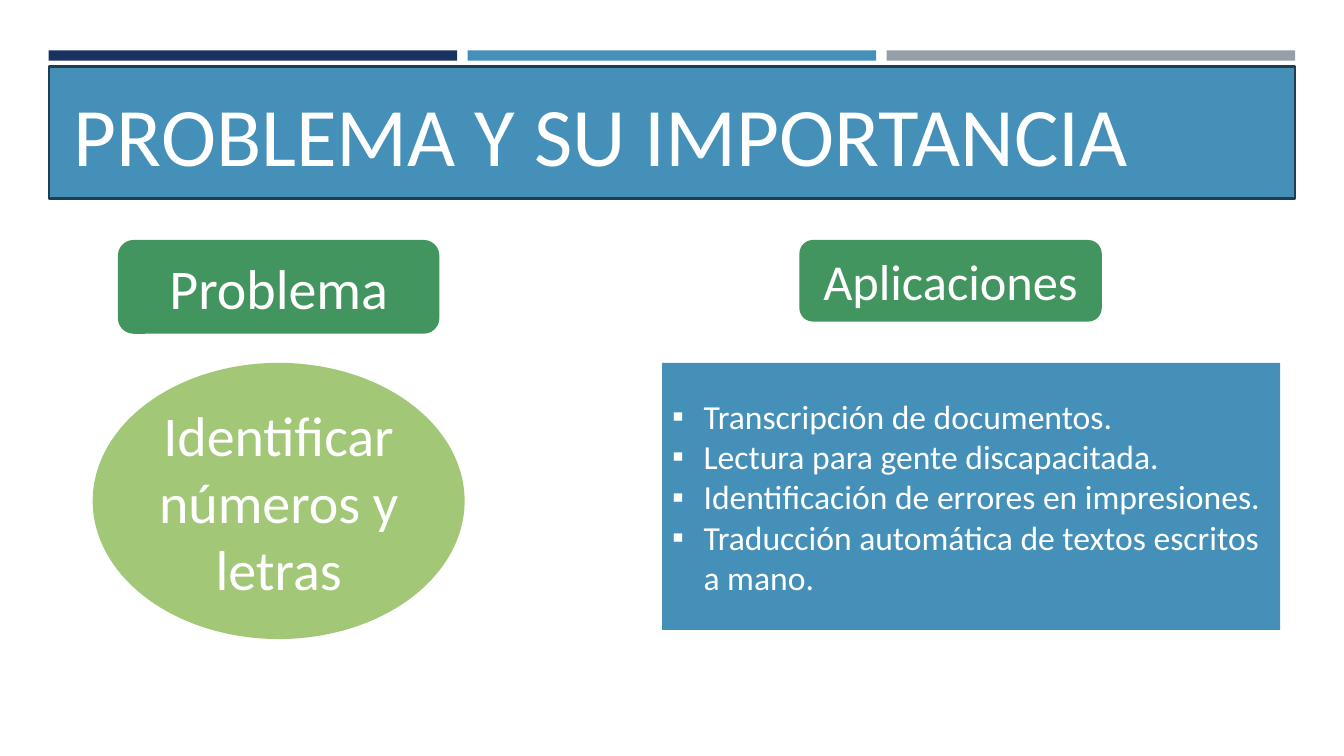
from lxml.etree import SubElement
from pptx import Presentation
from pptx.dml.color import RGBColor
from pptx.enum.shapes import MSO_SHAPE as Geometry
from pptx.enum.text import MSO_ANCHOR as Anchor, PP_ALIGN as Align
from pptx.oxml.ns import qn
from pptx.util import Pt

NAVY = RGBColor(0x1A, 0x32, 0x60)
BLUE = RGBColor(0x45, 0x90, 0xB8)
GRAY = RGBColor(0x96, 0x9F, 0xA7)
GREEN = RGBColor(0x42, 0x95, 0x5F)
LIME = RGBColor(0xA2, 0xC7, 0x77)
DARK_BLUE = RGBColor(0x1E, 0x3F, 0x51)
WHITE = RGBColor(0xFF, 0xFF, 0xFF)

FONT = "Calibri"
APPLICATIONS = [
    "Transcripción de documentos.",
    "Lectura para gente discapacitada.",
    "Identificación de errores en impresiones.",
    "Traducción automática de textos escritos a mano.",
]


def add_panel(slide, geometry, box, color):
    """Add a flat filled shape without outline or shadow."""
    panel = slide.shapes.add_shape(geometry, *(Pt(length) for length in box))
    panel.shadow.inherit = False
    panel.fill.solid()
    panel.fill.fore_color.rgb = color
    panel.line.fill.background()
    return panel


def write_lines(holder, lines, size, align=Align.CENTER, anchor=Anchor.MIDDLE):
    """Write one white paragraph per line and return the paragraphs."""
    frame = holder.text_frame
    frame.word_wrap = True
    frame.vertical_anchor = anchor
    for index, line in enumerate(lines):
        paragraph = frame.add_paragraph() if index else frame.paragraphs[0]
        paragraph.alignment = align
        run = paragraph.add_run()
        run.text = line
        run.font.name = FONT
        run.font.size = Pt(size)
        run.font.color.rgb = WHITE
    return frame.paragraphs


def add_bullet(paragraph, indent):
    """Give a paragraph a square bullet with a hanging indent."""
    properties = paragraph._p.get_or_add_pPr()
    properties.set("marL", str(Pt(indent)))
    properties.set("indent", str(-Pt(indent)))
    SubElement(properties, qn("a:buFont"), typeface="Arial")
    SubElement(properties, qn("a:buChar"), char="▪")


def add_header(slide, left, top, width, height):
    """Add the three accent strips and the title banner below them."""
    gap, strip_height, banner_offset = 7.5, 7.4, 11.6
    strip_width = (width - 2 * gap) / 3
    for column, color in enumerate((NAVY, BLUE, GRAY)):
        strip_left = left + column * (strip_width + gap)
        add_panel(slide, Geometry.RECTANGLE,
                  (strip_left, top, strip_width, strip_height), color)

    banner_top = top + banner_offset
    banner_height = height - banner_offset
    banner = add_panel(slide, Geometry.RECTANGLE,
                       (left, banner_top, width, banner_height), BLUE)
    banner.line.color.rgb = DARK_BLUE
    banner.line.width = Pt(1.75)

    title = slide.shapes.add_textbox(Pt(left + 10.8), Pt(banner_top + 7.2),
                                     Pt(width - 21.6), Pt(banner_height - 14.4))
    write_lines(title, ["PROBLEMA Y SU IMPORTANCIA"], 59.4, Align.LEFT, Anchor.BOTTOM)


def add_problem(slide, left, top, width, height):
    """Add the problem label centred above its ellipse."""
    label_width, ellipse_height = 229.7, 197.3
    label = add_panel(slide, Geometry.ROUNDED_RECTANGLE,
                      (left + (width - label_width) / 2, top, label_width, 67), GREEN)
    write_lines(label, ["Problema"], 40)
    ellipse = add_panel(slide, Geometry.OVAL,
                        (left, top + height - ellipse_height, width, ellipse_height), LIME)
    write_lines(ellipse, ["Identificar números y letras"], 40)


def add_applications(slide, left, top, width, height):
    """Add the applications label above its bulleted panel."""
    panel_height = 190.8
    label = add_panel(slide, Geometry.ROUNDED_RECTANGLE,
                      (left + 98, top, 216, 58.3), GREEN)
    write_lines(label, ["Aplicaciones"], 36)
    panel = add_panel(slide, Geometry.RECTANGLE,
                      (left, top + height - panel_height, width, panel_height), BLUE)
    for paragraph in write_lines(panel, APPLICATIONS, 24, Align.LEFT):
        add_bullet(paragraph, 22.5)


def main():
    """Build the slide and save the presentation."""
    deck = Presentation()
    deck.slide_width, deck.slide_height = Pt(960), Pt(540)
    slide = deck.slides.add_slide(deck.slide_layouts[6])
    add_header(slide, 34.8, 36, 890.4, 105.9)
    add_problem(slide, 66.2, 171.4, 265.7, 285.1)
    add_applications(slide, 473, 171.4, 441.4, 278.6)
    deck.save("out.pptx")


if __name__ == "__main__":
    main()
